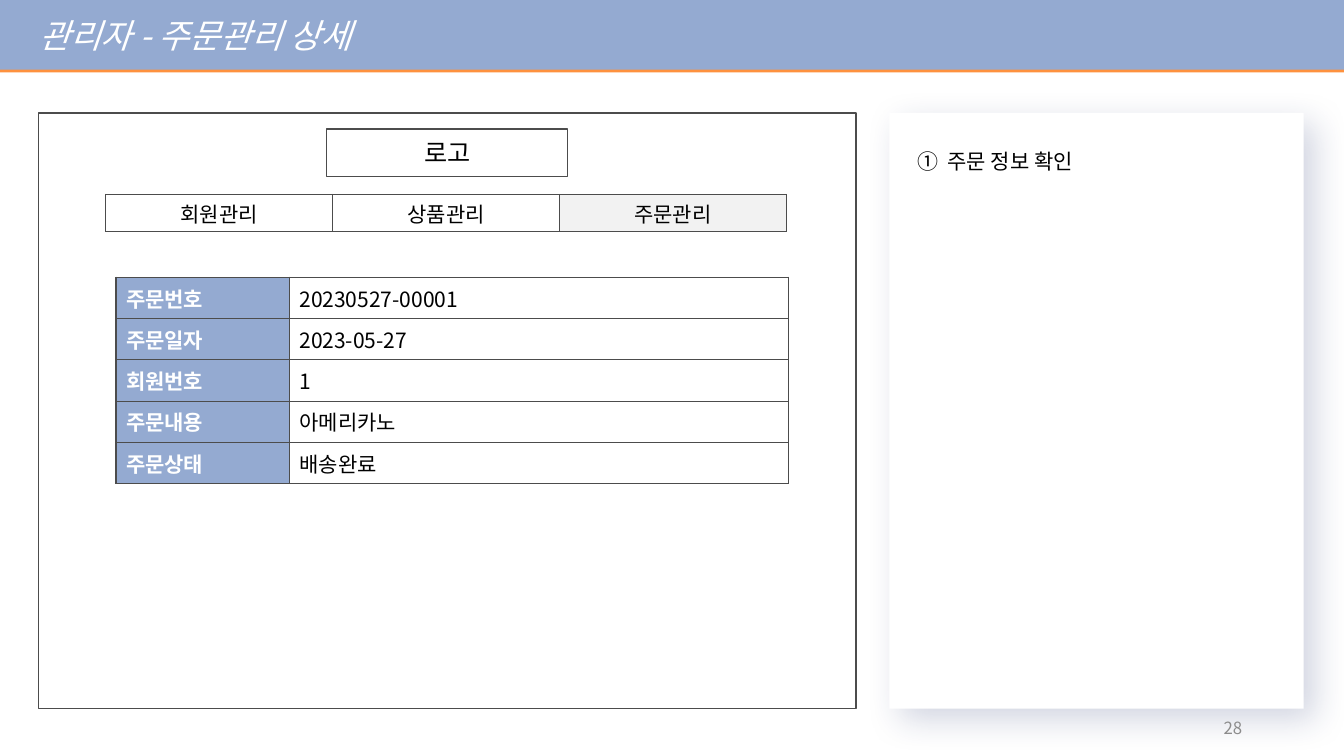
from lxml.etree import SubElement
from pptx import Presentation
from pptx.dml.color import RGBColor
from pptx.enum.shapes import MSO_SHAPE
from pptx.enum.text import MSO_ANCHOR, PP_ALIGN
from pptx.oxml import parse_xml
from pptx.oxml.ns import nsdecls, qn
from pptx.util import Inches, Pt

TITLE = "관리자 - 주문관리 상세"
LOGO = "로고"
MENU = ["회원관리", "상품관리", "주문관리"]
ACTIVE_MENU = "주문관리"
ORDER = [
    ("주문번호", "20230527-00001"),
    ("주문일자", "2023-05-27"),
    ("회원번호", "1"),
    ("주문내용", "아메리카노"),
    ("주문상태", "배송완료"),
]
NOTE = "주문 정보 확인"
PAGE = "28"

FONT = "Noto Sans CJK KR"
COLORS = {
    "blue": "94AAD1", "orange": "FE913E", "navy": "1E2E6C", "line": "4C4C4C",
    "white": "FFFFFF", "black": "000000", "active": "F2F2F2", "page": "8C8C8C",
}
SLIDE_W, SLIDE_H = 13.33, 7.5
PANEL_TOP, PANEL_H = 1.12, 5.91
MENU_W, MENU_ROW = 2.25, 0.37
LABEL_W, VALUE_W, ORDER_ROW = 1.72, 4.95, 0.41


def rgb(name):
    return RGBColor.from_string(COLORS[name])


def write(frame, text, size, color="black", align=PP_ALIGN.LEFT, bold=False, italic=False):
    frame.text = text
    paragraph = frame.paragraphs[0]
    paragraph.alignment = align
    run = paragraph.runs[0]
    font = run.font
    font.name, font.size, font.bold, font.italic = FONT, Pt(size), bold, italic
    font.color.rgb = rgb(color)
    SubElement(run._r.get_or_add_rPr(), qn("a:ea"), typeface=FONT)
    return paragraph


def indent(paragraph, left, first=0):
    props = paragraph._p.get_or_add_pPr()
    props.set("marL", str(Inches(left)))
    props.set("indent", str(Inches(first)))
    return props


def add_box(slide, left, top, width, height, fill=None, line=None):
    box = slide.shapes.add_shape(
        MSO_SHAPE.RECTANGLE, Inches(left), Inches(top), Inches(width), Inches(height))
    box.shadow.inherit = False
    if fill:
        box.fill.solid()
        box.fill.fore_color.rgb = rgb(fill)
    else:
        box.fill.background()
    if line:
        box.line.color.rgb = rgb(line)
        box.line.width = Pt(1)
    else:
        box.line.fill.background()
    box.text_frame.vertical_anchor = MSO_ANCHOR.MIDDLE
    return box


def add_text(slide, left, top, width, height):
    frame = slide.shapes.add_textbox(
        Inches(left), Inches(top), Inches(width), Inches(height)).text_frame
    frame.word_wrap = True
    return frame


def cast_shadow(box, color, alpha, blur, distance, angle):
    """Add an outer shadow: alpha in percent, blur and distance in points, angle in degrees."""
    effects = box._element.spPr.find(qn("a:effectLst"))
    effects.append(parse_xml(
        f'<a:outerShdw {nsdecls("a")} blurRad="{Pt(blur)}" dist="{Pt(distance)}" '
        f'dir="{angle * 60000}" algn="tl" rotWithShape="0"><a:srgbClr val="{COLORS[color]}">'
        f'<a:alpha val="{alpha * 1000}"/></a:srgbClr></a:outerShdw>'))


def add_grid(slide, left, top, widths, row_height, row_count):
    frame = slide.shapes.add_table(
        row_count, len(widths), Inches(left), Inches(top),
        Inches(sum(widths)), Inches(row_height * row_count))
    grid = frame.table
    grid.first_row = grid.horz_banding = False
    for column, width in zip(grid.columns, widths):
        column.width = Inches(width)
    for row in grid.rows:
        row.height = Inches(row_height)
    return grid


def style_cell(cell, fill):
    cell.vertical_anchor = MSO_ANCHOR.MIDDLE
    cell.margin_top = cell.margin_bottom = Inches(0.03)
    cell.fill.solid()
    cell.fill.fore_color.rgb = rgb(fill)
    props = cell._tc.get_or_add_tcPr()
    for position, side in enumerate(("lnL", "lnR", "lnT", "lnB")):
        props.insert(position, parse_xml(
            f'<a:{side} {nsdecls("a")} w="{Pt(1)}"><a:solidFill>'
            f'<a:srgbClr val="{COLORS["line"]}"/></a:solidFill></a:{side}>'))


def main():
    deck = Presentation()
    deck.slide_width, deck.slide_height = Inches(SLIDE_W), Inches(SLIDE_H)
    slide = deck.slides.add_slide(deck.slide_layouts[6])

    note_panel = add_box(slide, 8.82, PANEL_TOP, 4.11, PANEL_H, fill="white")
    cast_shadow(note_panel, "navy", 20, 25, 11, 45)

    header = add_box(slide, 0, 0, SLIDE_W, 0.69, fill="blue")
    cast_shadow(header, "orange", 100, 0, 2, 90)
    indent(write(header.text_frame, TITLE, 24, "white", italic=True), 0.29)

    add_box(slide, 0.38, PANEL_TOP, 8.11, PANEL_H, line="line")
    logo = add_box(slide, 3.24, 1.28, 2.39, 0.47, line="line")
    write(logo.text_frame, LOGO, 18, align=PP_ALIGN.CENTER)

    note = write(add_text(slide, 9, 1.35, 3.78, 0.74), NOTE, 15, align=PP_ALIGN.JUSTIFY)
    note.line_spacing = 1.3
    note_props = indent(note, 0.3, -0.3)
    bullet_color = SubElement(note_props, qn("a:buClr"))
    SubElement(bullet_color, qn("a:srgbClr"), val=COLORS["black"])
    SubElement(note_props, qn("a:buFont"), typeface=FONT)
    SubElement(note_props, qn("a:buAutoNum"), type="circleNumDbPlain")

    menu = add_grid(slide, 1.05, 1.93, [MENU_W] * len(MENU), MENU_ROW, 1)
    for column, item in enumerate(MENU):
        cell = menu.cell(0, column)
        style_cell(cell, "active" if item == ACTIVE_MENU else "white")
        write(cell.text_frame, item, 15, align=PP_ALIGN.CENTER)

    order = add_grid(slide, 1.15, 2.75, [LABEL_W, VALUE_W], ORDER_ROW, len(ORDER))
    for row, (label, value) in enumerate(ORDER):
        label_cell, value_cell = order.cell(row, 0), order.cell(row, 1)
        style_cell(label_cell, "blue")
        write(label_cell.text_frame, label, 15, "white", bold=True)
        style_cell(value_cell, "white")
        write(value_cell.text_frame, value, 15)

    page = add_text(slide, 9.42, 7.02, 3, 0.4)
    page.vertical_anchor = MSO_ANCHOR.MIDDLE
    write(page, PAGE, 12, "page", PP_ALIGN.RIGHT)

    deck.save("out.pptx")


if __name__ == "__main__":
    main()
